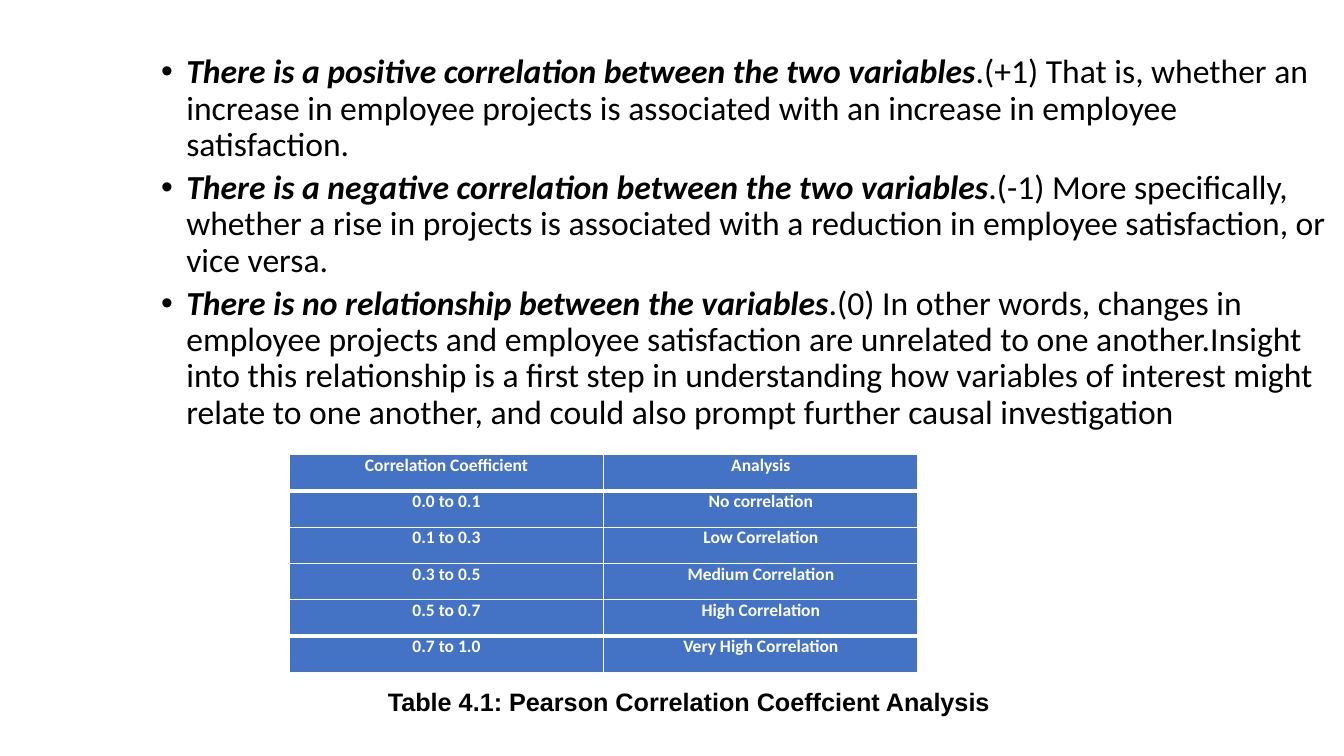
import pptx
import pptx.dml.color
import pptx.enum.text
import pptx.util
from lxml import etree
from pptx.oxml.ns import qn

Pt = pptx.util.Pt
COLORS = {"text": "000000", "cell": "4472C4", "cell_text": "FFFFFF", "border": "FFFFFF"}

FINDINGS = [
    ("There is a positive correlation between the two variables",
     ".(+1) That is, whether an increase in employee projects is associated with "
     "an increase in employee satisfaction."),
    ("There is a negative correlation between the two variables",
     ".(-1) More specifically, whether a rise in projects is associated with "
     "a reduction in employee satisfaction, or vice versa."),
    ("There is no relationship between the variables",
     ".(0) In other words, changes in employee projects and employee satisfaction "
     "are unrelated to one another.Insight into this relationship is a first step in "
     "understanding how variables of interest might relate to one another, and could "
     "also prompt further causal investigation"),
]

COEFFICIENTS = [
    ("Correlation Coefficient", "Analysis"),
    ("0.0 to 0.1", "No correlation"),
    ("0.1 to 0.3", "Low Correlation"),
    ("0.3 to 0.5", "Medium Correlation"),
    ("0.5 to 0.7", "High Correlation"),
    ("0.7 to 1.0", "Very High Correlation"),
]
ROW_LINE_WIDTHS = [1, 3, 1, 1, 1, 3, 1]


def rgb(name):
    return pptx.dml.color.RGBColor.from_string(COLORS[name])


def set_font(font, name, size, color):
    font.name = name
    font.size = Pt(size)
    font.color.rgb = rgb(color)


def add_text_frame(slide, left, top, width, height):
    box = slide.shapes.add_textbox(Pt(left), Pt(top), Pt(width), Pt(height))
    box.text_frame.word_wrap = True
    return box.text_frame


def set_bullet(paragraph, indent):
    properties = paragraph._p.get_or_add_pPr()
    properties.set("marL", str(Pt(indent)))
    properties.set("indent", str(-Pt(indent)))
    etree.SubElement(properties, qn("a:buFont"), typeface="Arial")
    etree.SubElement(properties, qn("a:buChar"), char="•")


def add_findings(slide, left, top, width, height):
    frame = add_text_frame(slide, left, top, width, height)
    for index, (claim, explanation) in enumerate(FINDINGS):
        paragraph = frame.paragraphs[0] if index == 0 else frame.add_paragraph()
        paragraph.line_spacing = 0.9
        paragraph.space_before = Pt(5 if index else 0)
        set_bullet(paragraph, 18)
        set_font(paragraph.font, "Calibri", 24, "text")
        claim_run = paragraph.add_run()
        claim_run.text = claim
        claim_run.font.bold = claim_run.font.italic = True
        paragraph.add_run().text = explanation


def set_borders(cell, top, bottom):
    """Draw all four cell borders; the side borders are 1 pt wide."""
    properties = cell._tc.get_or_add_tcPr()
    for side, width in (("L", 1), ("R", 1), ("T", top), ("B", bottom)):
        line = etree.SubElement(properties, qn(f"a:ln{side}"), w=str(Pt(width)))
        fill = etree.SubElement(line, qn("a:solidFill"))
        etree.SubElement(fill, qn("a:srgbClr"), val=COLORS["border"])


def add_coefficient_table(slide, left, top, width, height):
    row_count, column_count = len(COEFFICIENTS), len(COEFFICIENTS[0])
    table = slide.shapes.add_table(
        row_count, column_count, Pt(left), Pt(top), Pt(width), Pt(height)).table
    for row in table.rows:
        row.height = Pt(height / row_count)
    for row_index, texts in enumerate(COEFFICIENTS):
        for column_index, text in enumerate(texts):
            cell = table.cell(row_index, column_index)
            set_borders(cell, *ROW_LINE_WIDTHS[row_index:row_index + 2])
            cell.fill.solid()
            cell.fill.fore_color.rgb = rgb("cell")
            cell.margin_left = cell.margin_right = 0
            cell.margin_top = cell.margin_bottom = 0
            cell.text = text
            paragraph = cell.text_frame.paragraphs[0]
            paragraph.alignment = pptx.enum.text.PP_ALIGN.CENTER
            paragraph.space_before = Pt(4)
            set_font(paragraph.font, "Calibri", 12.5, "cell_text")
            paragraph.font.bold = True


def add_caption(slide, left, top, width, height):
    frame = add_text_frame(slide, left, top, width, height)
    paragraph = frame.paragraphs[0]
    paragraph.text = "Table 4.1: Pearson Correlation Coeffcient Analysis"
    set_font(paragraph.font, "Arial", 18, "text")
    paragraph.font.bold = True


def main():
    presentation = pptx.Presentation()
    presentation.slide_width = Pt(960)
    presentation.slide_height = Pt(540)
    slide = presentation.slides.add_slide(presentation.slide_layouts[6])
    add_findings(slide, 108, 35.6, 852, 280)
    add_coefficient_table(slide, 206.6, 324.7, 449.2, 155.5)
    add_caption(slide, 270, 486.5, 448.6, 28)
    presentation.save("out.pptx")


if __name__ == "__main__":
    main()
